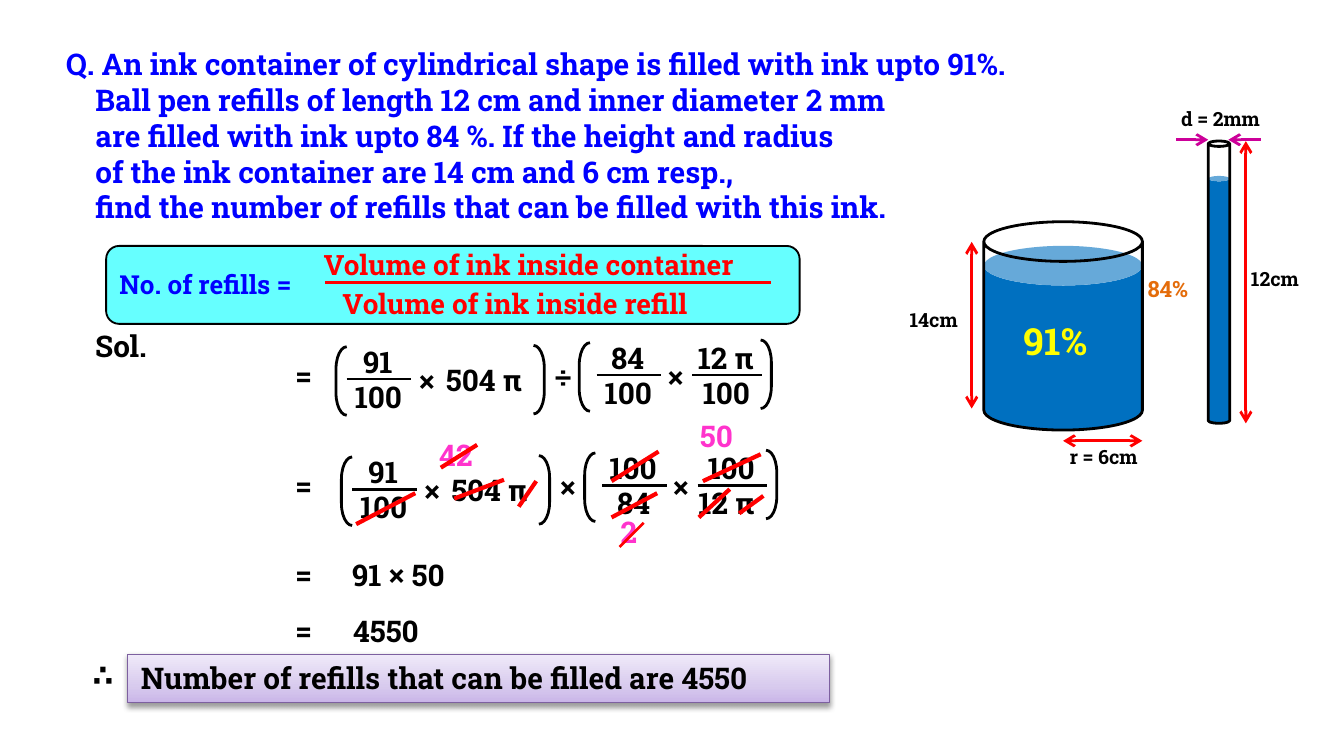
from lxml import etree
from pptx import Presentation
from pptx.dml.color import RGBColor
from pptx.enum.shapes import MSO_CONNECTOR, MSO_SHAPE
from pptx.enum.text import MSO_ANCHOR, MSO_AUTO_SIZE, PP_ALIGN
from pptx.oxml.ns import qn
from pptx.util import Emu, Pt

PX = 9144
FONT = "Roboto Slab"
LEFT, CENTER = PP_ALIGN.LEFT, PP_ALIGN.CENTER
TOP = MSO_ANCHOR.TOP
NO_FIT = MSO_AUTO_SIZE.NONE
STRAIGHT = MSO_CONNECTOR.STRAIGHT
RECTANGLE, ROUNDED = MSO_SHAPE.RECTANGLE, MSO_SHAPE.ROUNDED_RECTANGLE
CAN, BRACKET = MSO_SHAPE.CAN, MSO_SHAPE.LEFT_BRACKET
COLORS = {
    "black": "000000", "blue": "0000FF", "red": "FF0000", "cyan": "66FFFF",
    "pink": "FF33CC", "magenta": "CC0099", "ink": "0070C0",
    "yellow": "FFFF00", "orange": "E46C0A", "purple": "7D60A0",
}
ANSWER_STOPS = [(0, "C9B5E8"), (35, "D8CBEE"), (100, "F0EAF9")]


def px(value):
    return Emu(value * PX)


def color(name):
    return RGBColor.from_string(COLORS[name])


def format_text(text_frame, size, color_name, align):
    text_frame.word_wrap = True
    text_frame.auto_size = NO_FIT
    text_frame.vertical_anchor = TOP
    for paragraph in text_frame.paragraphs:
        paragraph.alignment = align
        for run in paragraph.runs:
            run.font.name = FONT
            run.font.size = Pt(size)
            run.font.bold = True
            run.font.color.rgb = color(color_name)


def add_text(slide, text, left, top, width, size=16, color_name="black", align=LEFT):
    box = slide.shapes.add_textbox(px(left), px(top), px(width), px(37))
    box.text_frame.text = text
    format_text(box.text_frame, size, color_name, align)


def add_shape(slide, kind, left, top, width, height, fill=None, line=None, weight=1.5):
    shape = slide.shapes.add_shape(kind, px(left), px(top), px(width), px(height))
    shape.shadow.inherit = False
    if fill:
        shape.fill.solid()
        shape.fill.fore_color.rgb = color(fill)
    else:
        shape.fill.background()
    if line:
        shape.line.color.rgb = color(line)
        shape.line.width = Pt(weight)
    else:
        shape.line.fill.background()
    return shape


def add_line(slide, x1, y1, x2, y2, color_name="black", weight=1.5, arrows=()):
    line = slide.shapes.add_connector(STRAIGHT, px(x1), px(y1), px(x2), px(y2))
    line.line.color.rgb = color(color_name)
    line.line.width = Pt(weight)
    properties = line._element.spPr
    for end in arrows:
        etree.SubElement(properties.find(qn("a:ln")), qn(f"a:{end}"), type="arrow")
    etree.SubElement(properties, qn("a:effectLst"))


def add_question(slide, left, top, width, height):
    title = slide.shapes.title
    title.left, title.top, title.width, title.height = map(px, (left, top, width, height))
    title.text_frame.text = "\n".join([
        "Q. An ink container of cylindrical shape is filled with ink upto 91%.",
        "Ball pen refills of length 12 cm and inner diameter 2 mm",
        "are filled with ink upto 84 %. If the height and radius",
        "of the ink container are 14 cm and 6 cm resp.,",
        "find the number of refills that can be filled with this ink.",
    ])
    for paragraph in title.text_frame.paragraphs[1:]:
        paragraph._p.get_or_add_pPr().set("marL", str(px(22)))
    format_text(title.text_frame, 16, "blue", LEFT)


def add_formula(slide, left, top, width, height):
    add_shape(slide, ROUNDED, left, top, width, height, "cyan", "black", 1)
    add_text(slide, "No. of refills =", left, top + 12, 238, 14, "blue")
    add_line(slide, left + 163, top + 27, left + 495, top + 27, "red")
    add_text(slide, "Volume of ink inside container", left + 152, top - 4, 360, 15, "red")
    add_text(slide, "Volume of ink inside refill", left + 166, top + 25, 306, 15, "red")


def add_fraction(slide, left, top, numerator, denominator, bar_left=13, bar_width=48, shift=4):
    add_text(slide, numerator, left, top, 72, align=CENTER)
    add_text(slide, denominator, left + shift, top + 26, 65, align=CENTER)
    bar_top = top + 31
    add_line(slide, left + bar_left, bar_top, left + bar_left + bar_width, bar_top)


def add_bracket(slide, left, top, closing=False):
    bracket = add_shape(slide, BRACKET, left, top, 8, 51, line="black")
    bracket.adjustments[0] = 2.07
    if closing:
        bracket._element.spPr.find(qn("a:xfrm")).set("flipH", "1")


def add_step(slide, left, top, operator, second, third, third_shift):
    add_fraction(slide, left, top + 3, "91", "100")
    add_fraction(slide, left + 186, top, *second)
    add_fraction(slide, left + 259, top, *third, 11, 52, third_shift)
    for text, x, y, width in [
        ("×", 57, 17, 42), ("504 π", 77, 16, 86),
        (operator, 158, 14, 32), ("×", 242, 14, 42),
    ]:
        add_text(slide, text, left + x, top + y, width)
    for x, y, closing in [(5, 10, False), (152, 9, True), (186, 7, False), (321, 5, True)]:
        add_bracket(slide, left + x, top + y, closing)


def add_cancellations(slide, left, top):
    for text, x, y in [("42", 68, -10), ("2", 203, 47), ("50", 262, -24)]:
        add_text(slide, text, left + x, top + y, 50, color_name="pink")
    for x1, y1, x2, y2 in [
        (60, 37, 16, 60), (241, 6, 206, 28), (150, 28, 137, 47), (79, 18, 106, 1),
        (240, 37, 206, 55), (89, 41, 126, 27), (317, 8, 274, 28),
        (319, 39, 301, 52), (294, 34, 271, 55),
    ]:
        add_line(slide, left + x1, top + y1, left + x2, top + y2, "red", 2.25)
    add_line(slide, left + 230, top + 59, left + 212, top + 77, "red")


def add_solution(slide, left, top):
    add_text(slide, "Sol.", left, top, 72)
    for y in (22, 104, 170, 212):
        add_text(slide, "=", left + 149, top + y, 32)
    add_step(slide, left + 184, top + 9, "÷", ("84", "100"), ("12 π", "100"), 4)
    add_step(slide, left + 188, top + 91, "×", ("100", "84"), ("100", "12 π"), 0)
    add_cancellations(slide, left + 188, top + 91)
    add_text(slide, "91 × 50", left + 191, top + 170, 140)
    add_text(slide, "4550", left + 192, top + 212, 140)


def add_answer(slide, left, top, width, height):
    shape = add_shape(slide, RECTANGLE, left, top, width, height, line="purple", weight=0.75)
    shape.fill.gradient()
    shape.fill.gradient_angle = 90
    properties = shape._element.spPr
    stops = properties.find(qn("a:gradFill")).find(qn("a:gsLst"))
    stops.clear()
    for position, value in ANSWER_STOPS:
        stop = etree.SubElement(stops, qn("a:gs"), pos=str(position * 1000))
        etree.SubElement(stop, qn("a:srgbClr"), val=value)
    shadow = etree.SubElement(
        properties.find(qn("a:effectLst")), qn("a:outerShdw"),
        blurRad=str(Pt(3.1)), dist=str(Pt(1.6)), dir="5400000", rotWithShape="0")
    shade = etree.SubElement(shadow, qn("a:srgbClr"), val=COLORS["black"])
    etree.SubElement(shade, qn("a:alpha"), val="38000")
    add_text(slide, "Number of refills that can be filled are 4550", left, top - 1, 560)
    add_text(slide, "∴", left - 36, top - 3, 32)


def add_cylinder(slide, left, top, width, height, empty):
    add_shape(slide, CAN, left, top + empty, width, height - empty, "ink")
    add_shape(slide, CAN, left, top, width, height, line="black")


def add_container(slide, left, top, width, height):
    both = ("headEnd", "tailEnd")
    add_cylinder(slide, left, top, width, height, 18)
    add_text(slide, "91%", left + 20, top + 67, 84, 20, "yellow")
    add_line(slide, left - 9, top + 15, left - 9, top + 139, "red", arrows=both)
    add_text(slide, "14cm", left - 65, top + 59, 65, 10.5)
    add_line(slide, left + 59, top + 163, left + width, top + 163, "red", arrows=both)
    add_text(slide, "r = 6cm", left + 54, top + 161, 82, 10.5)


def add_refill(slide, left, top, width, height):
    add_cylinder(slide, left, top, width, height, 26)
    add_text(slide, "84%", left - 55, top + 95, 58, 12, "orange")
    add_text(slide, "12cm", left + 22, top + 89, 63, 10.5)
    add_line(slide, left + 28, top, left + 28, top + height, "red",
             arrows=("headEnd", "tailEnd"))
    for start, end in [(-24, 0), (width + 23, width - 1)]:
        add_line(slide, left + start, top - 1, left + end, top - 1, "magenta", arrows=("tailEnd",))
    add_text(slide, "d = 2mm", left - 30, top - 30, 88, 10.5)


def main():
    presentation = Presentation()
    presentation.slide_width = px(1000)
    presentation.slide_height = presentation.slide_width * 9 // 16
    slide = presentation.slides.add_slide(presentation.slide_layouts[5])
    add_question(slide, 39, 29, 823, 145)
    add_formula(slide, 79, 183, 516, 58)
    add_solution(slide, 61, 239)
    add_answer(slide, 95, 487, 522, 36)
    add_container(slide, 732, 165, 118, 155)
    add_refill(slide, 899, 105, 16, 210)
    presentation.save("out.pptx")


if __name__ == "__main__":
    main()
